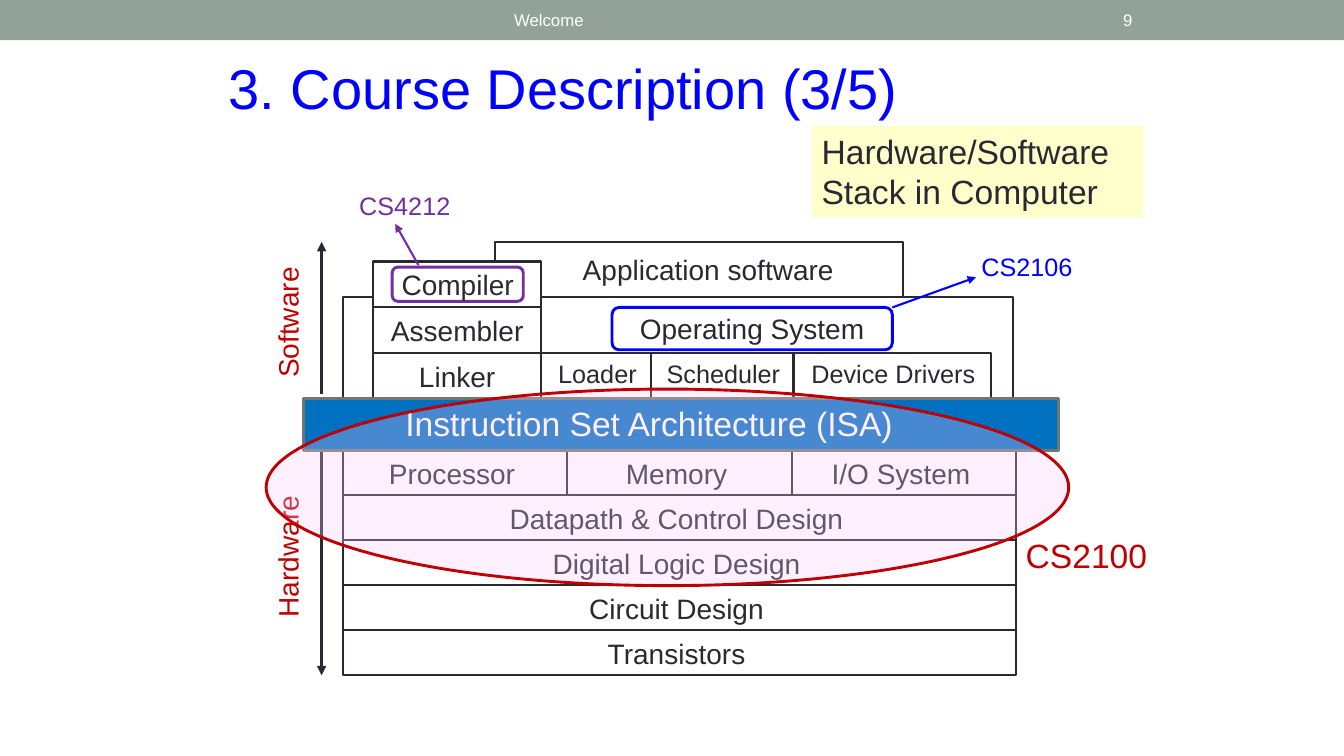
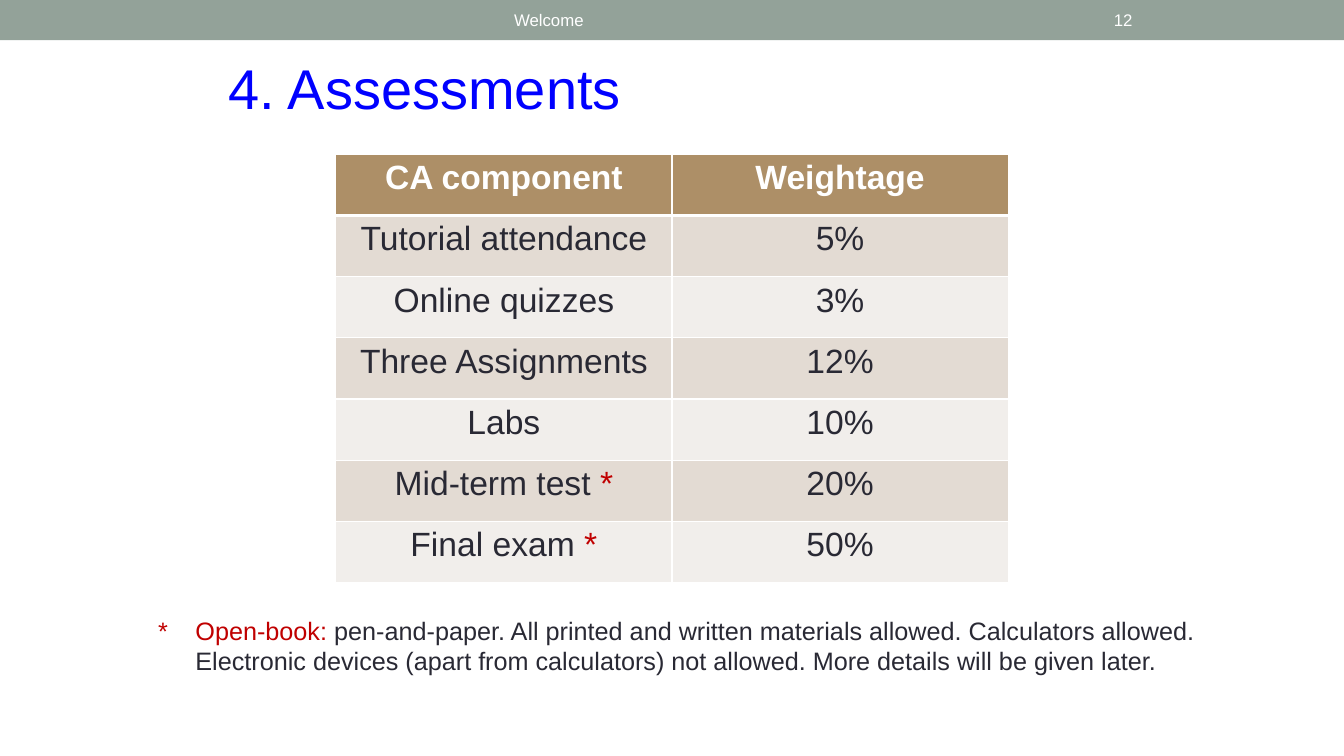
from dataclasses import dataclass

from lxml.etree import SubElement
from pptx import Presentation
from pptx.dml.color import RGBColor
from pptx.enum.shapes import MSO_CONNECTOR, MSO_SHAPE
from pptx.enum.text import MSO_ANCHOR, PP_ALIGN
from pptx.oxml.ns import qn
from pptx.util import Inches, Pt


@dataclass(frozen=True)
class Theme:
    font: str = "Arial"
    ink: str = "292934"
    white: str = "FFFFFF"
    band: str = "93A299"
    blue: str = "0000FF"
    red: str = "C00000"
    purple: str = "7030A0"
    note: str = "FFFFCC"
    isa: str = "0070C0"
    isa_edge: str = "6D7871"
    scope: str = "FFCCFF"
    header: str = "AD8F67"
    stripes: tuple = ("E3DBD3", "F1EEEB")
    title_size: int = 40
    large: int = 24
    medium: int = 20
    small: int = 18
    footer_size: int = 12
    outline: float = 1.5
    accent_line: float = 2.08


THEME = Theme()


# Shared helpers

def rgb(value):
    return RGBColor.from_string(value)


def set_values(target, values):
    for name, value in values.items():
        setattr(target, name, value)


def write(frame, text, size, color=THEME.ink, align=PP_ALIGN.LEFT, bold=False):
    """Write one paragraph; text is a string or a list of (text, colour) spans."""
    para = frame.paragraphs[0]
    para.alignment = align
    for content, span_color in [(text, color)] if isinstance(text, str) else text:
        span = para.add_run()
        span.text = content
        set_values(span.font, {"name": THEME.font, "size": Pt(size), "bold": bold})
        span.font.color.rgb = rgb(span_color)
    return para


def add_label(slide, box, text, size, color=THEME.ink, align=PP_ALIGN.CENTER,
              anchor=MSO_ANCHOR.TOP, rotation=0):
    label = slide.shapes.add_textbox(*map(Inches, box))
    label.rotation = rotation
    set_values(label.text_frame, {"word_wrap": True, "vertical_anchor": anchor})
    return write(label.text_frame, text, size, color, align)


def add_block(slide, box, text="", size=THEME.medium, fill=THEME.white, line=THEME.ink,
              weight=THEME.outline, kind=MSO_SHAPE.RECTANGLE, color=THEME.ink,
              align=PP_ALIGN.CENTER, anchor=MSO_ANCHOR.MIDDLE, insets=(0, 0, 0, 0)):
    """Draw a shape with its text; insets are left, top, right, bottom."""
    block = slide.shapes.add_shape(kind, *map(Inches, box))
    block.shadow.inherit = False
    if fill:
        block.fill.solid()
        block.fill.fore_color.rgb = rgb(fill)
    else:
        block.fill.background()
    if line:
        block.line.color.rgb = rgb(line)
        block.line.width = Pt(weight)
    else:
        block.line.fill.background()
    if text:
        sides = ("margin_left", "margin_top", "margin_right", "margin_bottom")
        set_values(block.text_frame, dict(zip(sides, map(Inches, insets))))
        set_values(block.text_frame, {"word_wrap": True, "vertical_anchor": anchor})
        write(block.text_frame, text, size, color, align)
    return block


def add_arrow(slide, start, end, color, weight=THEME.outline):
    arrow = slide.shapes.add_connector(MSO_CONNECTOR.STRAIGHT, *map(Inches, start + end))
    arrow.line.color.rgb = rgb(color)
    arrow.line.width = Pt(weight)
    properties = arrow._element.spPr
    SubElement(properties.find(qn("a:ln")), qn("a:tailEnd"), type="triangle")
    SubElement(properties, qn("a:effectLst"))


def add_page(deck, title, number):
    """Start a slide with the top band, its footer texts and the title."""
    slide = deck.slides.add_slide(deck.slide_layouts[6])
    add_block(slide, (0, 0, 13.33, 0.4), fill=THEME.band, line=None)
    for box, text, align in (((5, 0.02, 6, 0.36), "Welcome", PP_ALIGN.LEFT),
                             ((10.14, 0.02, 1.19, 0.36), number, PP_ALIGN.RIGHT)):
        add_label(slide, box, text, THEME.footer_size, THEME.white, align, MSO_ANCHOR.MIDDLE)
    add_label(slide, (2.17, 0.48, 9, 0.77), title, THEME.title_size, THEME.blue, PP_ALIGN.LEFT)
    return slide


# Regions of the stack diagram

def add_software_stack(slide, box):
    left, top, width, height = box
    row = 0.455
    tools_left, tools_width = left + 0.3, 1.67
    tools_top = top + height - 3 * row
    bottom_row = top + height - row

    # Application layer and operating system container
    add_block(slide, (left + 1.51, top, 4.05, 0.55), "Application software",
              insets=(0.18, 0, 0, 0))
    add_block(slide, (left, top + 0.55, width, height - 0.55))

    # Language tools; the compiler's name sits in its badge
    for index, name in enumerate(("", "Assembler", "Linker")):
        add_block(slide, (tools_left, tools_top + index * row, tools_width, row), name)

    # Operating system parts
    part_left = tools_left + tools_width
    for name, part_width in (("Loader", 1.09), ("Scheduler", 1.41), ("Device Drivers", 1.96)):
        add_block(slide, (part_left, bottom_row, part_width, row), name, THEME.small,
                  insets=(0.02, 0, 0, 0.05))
        part_left += part_width

    # Badges of the related courses
    for badge, name, color in (((left + 2.67, top + 0.65, 2.78, 0.42), "Operating System", THEME.blue),
                               ((left + 0.49, top + 0.25, 1.3, 0.34), "Compiler", THEME.purple)):
        add_block(slide, badge, name, fill=None, line=color, weight=THEME.accent_line,
                  kind=MSO_SHAPE.ROUNDED_RECTANGLE)


def add_hardware_stack(slide, box):
    left, top, width, height = box
    rows = (("Processor", "Memory", "I/O System"), ("Datapath & Control Design",),
            ("Digital Logic Design",), ("Circuit Design",), ("Transistors",))
    row_height = height / len(rows)
    for index, names in enumerate(rows):
        cell_width = width / len(names)
        for column, name in enumerate(names):
            add_block(slide, (left + column * cell_width, top + index * row_height,
                              cell_width, row_height), name, insets=(0, 0.02, 0.06, 0))


def add_side_axis(slide, box):
    """Vertical arrows and turned names for both halves of the stack."""
    left, top, width, height = box
    axis = left + width
    for name, label_top, start, end in (("Software", 0.58, 1.51, 0),
                                        ("Hardware", 2.9, 2.07, height)):
        add_label(slide, (left, top + label_top, 1.51, 0.44), name, THEME.medium,
                  THEME.red, rotation=270)
        add_arrow(slide, (axis, top + start), (axis, top + end), THEME.ink, 2.25)


def add_course_scope(slide, box):
    """Translucent ellipse around the layers that the course covers."""
    left, top, width, height = box
    scope = add_block(slide, box, fill=THEME.scope, line=THEME.red,
                      weight=THEME.accent_line, kind=MSO_SHAPE.OVAL)
    fill_color = scope._element.spPr.find(qn("a:solidFill")).find(qn("a:srgbClr"))
    SubElement(fill_color, qn("a:alpha"), val="28000")
    add_label(slide, (left + width - 0.58, top + 1.4, 1.51, 0.5), "CS2100",
              THEME.large, THEME.red)


def build_stack_slide(deck):
    slide = add_page(deck, "3. Course Description (3/5)", "9")
    add_block(slide, (8.05, 1.25, 3.29, 0.91), "Hardware/Software Stack in Computer",
              THEME.large, THEME.note, None, align=PP_ALIGN.LEFT, anchor=MSO_ANCHOR.TOP,
              insets=(0.1, 0.05, 0.1, 0.05))
    add_software_stack(slide, (3.4, 2.4, 6.65, 1.56))
    add_hardware_stack(slide, (3.4, 4.46, 6.68, 2.24))
    add_side_axis(slide, (2.1, 2.4, 1.09, 4.3))
    add_block(slide, (3.01, 3.95, 7.49, 0.52), "Instruction Set Architecture (ISA)",
              THEME.large, THEME.isa, THEME.isa_edge, THEME.accent_line,
              color=THEME.white, align=PP_ALIGN.LEFT, insets=(1.01, 0, 0, 0.02))

    # Pointers to the related courses
    for name, box, start, end, color in (
            ("CS2106", (9.58, 2.44, 1.21, 0.4), (8.85, 3.05), (9.68, 2.75), THEME.blue),
            ("CS4212", (3.41, 1.84, 1.21, 0.4), (4.15, 2.63), (3.92, 2.22), THEME.purple)):
        add_label(slide, box, name, THEME.small, color)
        add_arrow(slide, start, end, color)
    add_course_scope(slide, (2.64, 3.86, 7.96, 1.95))


# Regions of the assessment slide

def set_borders(cell, widths):
    """Give a cell white borders; widths maps a border tag to points."""
    properties = cell._tc.get_or_add_tcPr()
    for tag, points in widths.items():
        border = SubElement(properties, qn(f"a:{tag}"), w=str(Pt(points)))
        SubElement(SubElement(border, qn("a:solidFill")), qn("a:srgbClr"), val=THEME.white)


def add_weight_table(slide, box):
    star = ("*", THEME.red)
    rows = (("CA component", "Weightage"),
            ("Tutorial attendance", "5%"),
            ("Online quizzes", "3%"),
            ("Three Assignments", "12%"),
            ("Labs", "10%"),
            ([("Mid-term test ", THEME.ink), star], "20%"),
            ([("Final exam ", THEME.ink), star], "50%"))
    table = slide.shapes.add_table(len(rows), len(rows[0]), *map(Inches, box)).table
    for index, texts in enumerate(rows):
        heading = index == 0
        fill = THEME.header if heading else THEME.stripes[(index - 1) % 2]
        widths = {"lnL": 1, "lnR": 1, "lnT": 3 if index == 1 else 1, "lnB": 3 if heading else 1}
        for column, text in enumerate(texts):
            cell = table.cell(index, column)
            set_borders(cell, widths)
            cell.fill.solid()
            cell.fill.fore_color.rgb = rgb(fill)
            write(cell.text_frame, text, THEME.large,
                  THEME.white if heading else THEME.ink, PP_ALIGN.CENTER, heading)


def add_footnote(slide, box):
    details = (" pen-and-paper. All printed and written materials allowed. Calculators allowed. "
               "Electronic devices (apart from calculators) not allowed. "
               "More details will be given later.")
    para = add_label(slide, box, [("*\tOpen-book:", THEME.red), (details, THEME.ink)],
                     THEME.small, align=PP_ALIGN.LEFT)
    hanging = Inches(0.37)
    properties = para._p.get_or_add_pPr()
    for name, value in {"marL": hanging, "indent": -hanging}.items():
        properties.set(name, str(value))


def build_assessment_slide(deck):
    slide = add_page(deck, "4. Assessments", "12")
    add_weight_table(slide, (3.33, 1.53, 6.67, 4.25))
    add_footnote(slide, (1.47, 6.05, 10.61, 0.71))


def main():
    deck = Presentation()
    set_values(deck, {"slide_width": Inches(13.33), "slide_height": Inches(7.5)})
    build_stack_slide(deck)
    build_assessment_slide(deck)
    deck.save("out.pptx")


if __name__ == "__main__":
    main()
